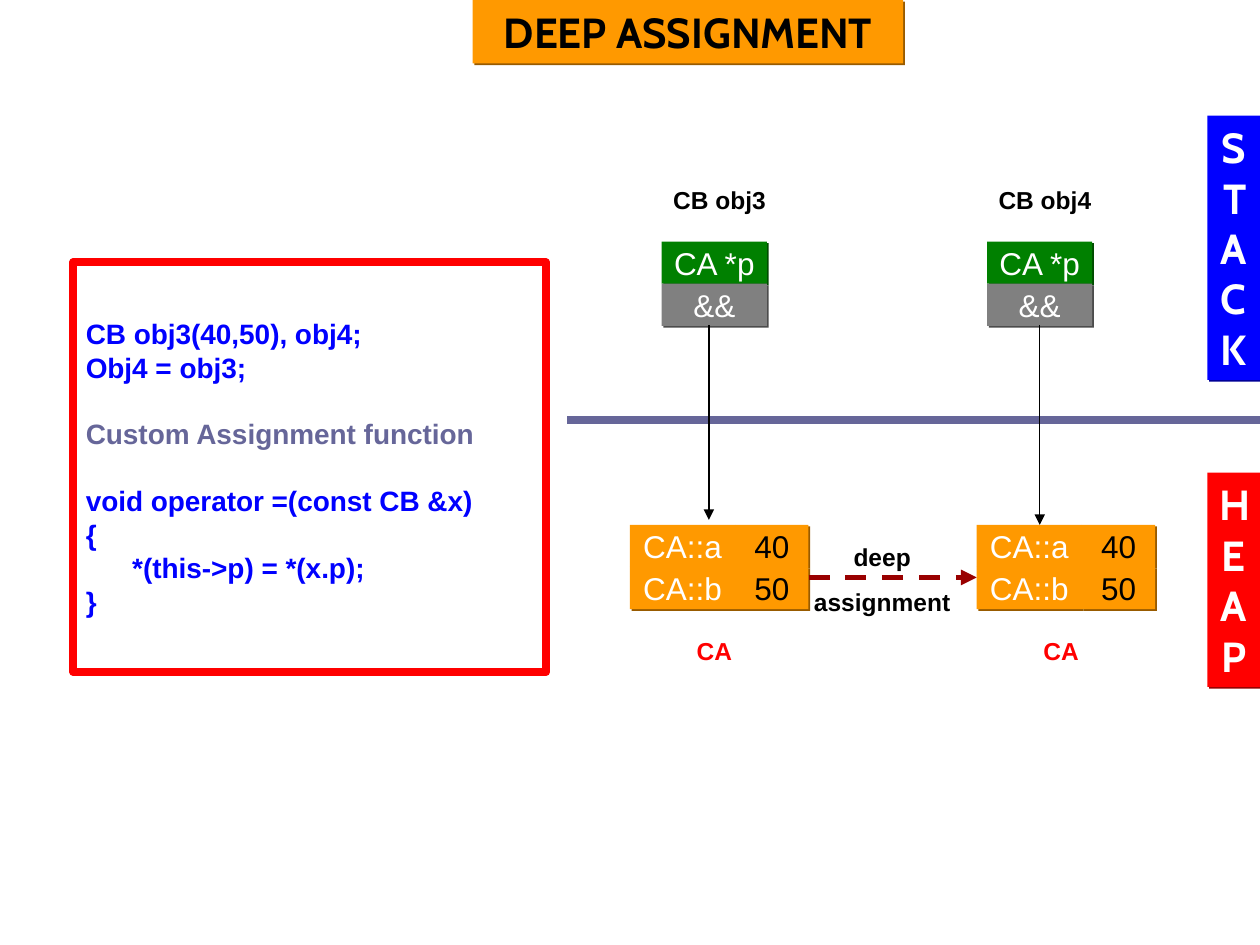
import pptx
import pptx.dml.color
import pptx.enum.dml
import pptx.enum.shapes
import pptx.enum.text
import pptx.oxml
import pptx.oxml.ns
import pptx.util

Cm = pptx.util.Cm
Pt = pptx.util.Pt
RGBColor = pptx.dml.color.RGBColor
ALIGN = pptx.enum.text.PP_ALIGN
ANCHOR = pptx.enum.text.MSO_ANCHOR

BLACK = RGBColor(0, 0, 0)
WHITE = RGBColor(255, 255, 255)
ORANGE = RGBColor(255, 153, 0)
BLUE = RGBColor(0, 0, 255)
RED = RGBColor(255, 0, 0)
GREEN = RGBColor(0, 128, 0)
GRAY = RGBColor(128, 128, 128)
SLATE = RGBColor(102, 102, 153)
MAROON = RGBColor(153, 0, 0)

HEAD = {"name": "Cabin", "size": Pt(24), "bold": True}
CELL = {"name": "Arial", "size": Pt(18), "bold": False}
LABEL = {"name": "Arial", "size": Pt(14), "bold": True}
CODE = {"name": "Arial", "size": Pt(16), "bold": True}

TOP = {"vertical_anchor": ANCHOR.TOP, "word_wrap": True}
TIGHT = {"vertical_anchor": ANCHOR.MIDDLE, "word_wrap": False}
MIDDLE = {"vertical_anchor": ANCHOR.MIDDLE, "word_wrap": True}

ROW = 0.85
WIDE = 2.12
SLIM = 1.48


def apply(target, values):
    for key, value in values.items():
        setattr(target, key, value)


def write(shape, lines, font, frame, align=ALIGN.CENTER):
    text = shape.text_frame
    apply(text, frame)
    for index, (words, color, gap) in enumerate(lines):
        para = text.paragraphs[0] if index == 0 else text.add_paragraph()
        apply(para, {"text": words, "alignment": align, "space_before": Pt(gap)})
        apply(para.font, font)
        para.font.color.rgb = color


def add_box(slide, place, fill):
    box = slide.shapes.add_shape(
        pptx.enum.shapes.MSO_SHAPE.RECTANGLE, *map(Cm, place))
    box.shadow.inherit = False
    box.fill.solid()
    box.fill.fore_color.rgb = fill
    box.line.fill.background()
    return box


def add_block(slide, place, fill, words, color, font, frame):
    box = add_box(slide, place, fill)
    shade = RGBColor(*(int(part * 0.597) for part in fill))
    effects = box.element.spPr.find(pptx.oxml.ns.qn("a:effectLst"))
    effects.append(pptx.oxml.parse_xml(
        f'<a:outerShdw {pptx.oxml.ns.nsdecls("a")} dist="{Pt(1.4)}" dir="2700000">'
        f'<a:srgbClr val="{shade}"/></a:outerShdw>'))
    write(box, [(words, color, 0)], font, frame)


def add_label(slide, place, lines, color):
    label = slide.shapes.add_textbox(*map(Cm, place))
    rows = [(words, color, 8.8 if index else 0) for index, words in enumerate(lines)]
    write(label, rows, LABEL, TOP)


def add_line(slide, ends, color, width, arrow=False, dash=None):
    line = slide.shapes.add_connector(
        pptx.enum.shapes.MSO_CONNECTOR.STRAIGHT, *map(Cm, ends))
    line.line.color.rgb = color
    apply(line.line, {"width": Pt(width), "dash_style": dash})
    if arrow:
        line.line._get_or_add_ln().append(pptx.oxml.parse_xml(
            f'<a:tailEnd {pptx.oxml.ns.nsdecls("a")} type="triangle"/>'))
    line.element.spPr.append(pptx.oxml.parse_xml(
        f'<a:effectLst {pptx.oxml.ns.nsdecls("a")}/>'))


def add_stack(slide, left, name):
    for row, (fill, words) in enumerate([(GREEN, "CA *p"), (GRAY, "&&")]):
        place = (left, 4.87 + row * ROW, WIDE, ROW)
        add_block(slide, place, fill, words, WHITE, CELL, TIGHT)
    add_label(slide, (left - 0.21, 3.6, 2.75, 0.86), [name], BLACK)


def add_heap(slide, left):
    parts = [(left, WIDE, WHITE, ("CA::a", "CA::b")),
             (left + WIDE, SLIM, BLACK, ("40", "50"))]
    for start, width, color, column in parts:
        for row, words in enumerate(column):
            place = (start, 10.58 + row * ROW, width, ROW)
            add_block(slide, place, ORANGE, words, color, CELL, TIGHT)
    add_label(slide, (left + 0.64, 12.7, WIDE, 0.86), ["CA"], RED)


def add_code(slide):
    box = add_box(slide, (1.48, 5.29, 9.53, 8.26), WHITE)
    box.line.color.rgb = RED
    box.line.width = Pt(4.5)
    lines = [
        ("CB obj3(40,50), obj4;", BLUE, 0),
        ("Obj4 = obj3;", BLUE, 0),
        ("Custom Assignment function", SLATE, 19),
        ("void operator =(const CB &x)", BLUE, 19),
        ("{", BLUE, 0),
        ("      *(this->p) = *(x.p);", BLUE, 0),
        ("}", BLUE, 0),
    ]
    write(box, lines, CODE, MIDDLE, ALIGN.LEFT)


def main():
    deck = pptx.Presentation()
    apply(deck, {"slide_width": Cm(25.4), "slide_height": Cm(19.05)})
    slide = deck.slides.add_slide(deck.slide_layouts[6])

    heads = [
        ((9.53, 0, 8.68, 1.28), ORANGE, "DEEP ASSIGNMENT", BLACK),
        ((24.34, 2.33, 1.06, 5.33), BLUE, "STACK", WHITE),
        ((24.34, 9.53, 1.06, 4.32), RED, "HEAP", WHITE),
    ]
    for place, fill, words, color in heads:
        add_block(slide, place, fill, words, color, HEAD, TOP)

    add_line(slide, (11.43, 8.47, 25.4, 8.47), SLATE, 4.5)
    add_stack(slide, 13.34, "CB obj3")
    add_stack(slide, 19.9, "CB obj4")
    add_heap(slide, 12.7)
    add_line(slide, (14.29, 6.56, 14.29, 10.48), BLACK, 0.75, arrow=True)
    add_line(slide, (20.96, 6.56, 20.96, 10.58), BLACK, 0.75, arrow=True)
    add_code(slide)
    add_line(slide, (16.3, 11.64, 19.69, 11.64), MAROON, 3, arrow=True,
             dash=pptx.enum.dml.MSO_LINE.DASH)
    add_label(slide, (15.88, 10.81, 3.81, 1.75), ["deep", "assignment"], BLACK)
    add_heap(slide, 19.69)
    deck.save("out.pptx")


if __name__ == "__main__":
    main()
